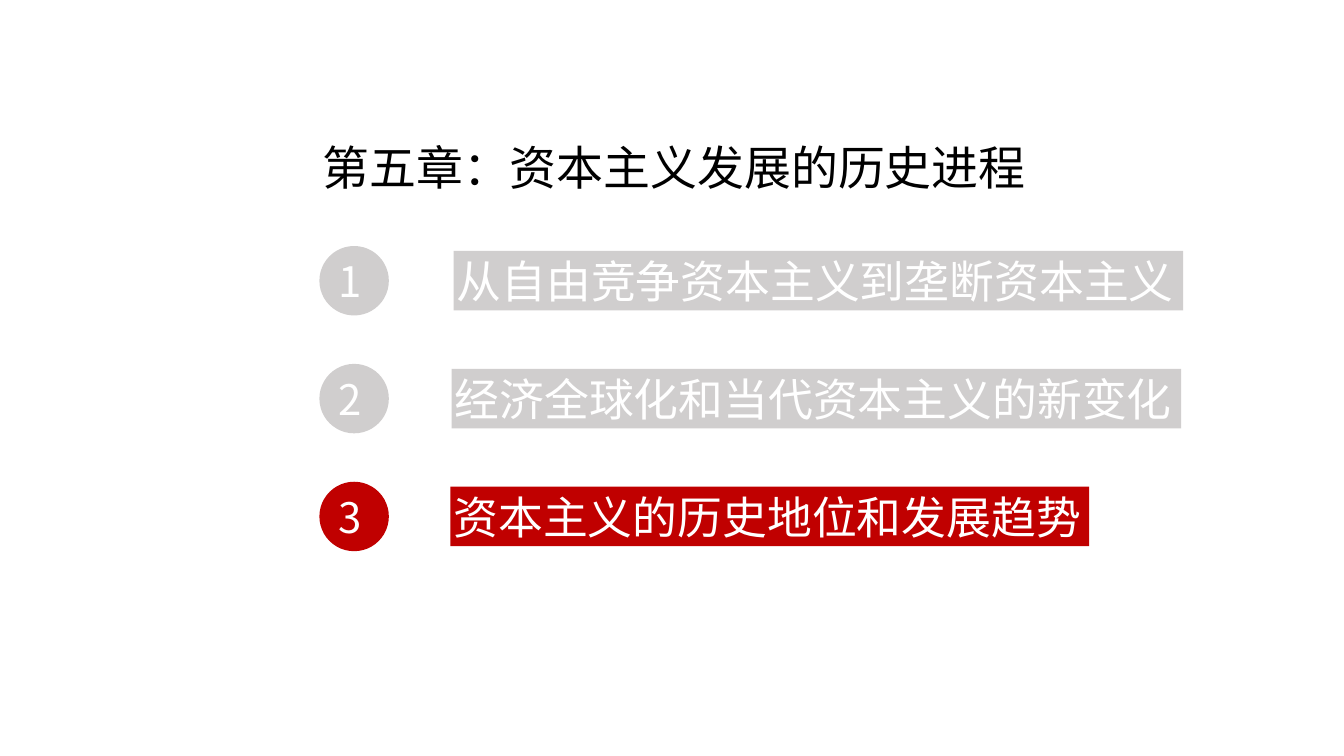
import pptx
import pptx.dml.color
import pptx.enum.shapes
import pptx.enum.text
import pptx.oxml
import pptx.oxml.ns
import pptx.util

Cm = pptx.util.Cm
Shapes = pptx.enum.shapes.MSO_SHAPE
AutoSize = pptx.enum.text.MSO_AUTO_SIZE

TITLE = "第五章：资本主义发展的历史进程"
SECTIONS = [
    {"text": "从自由竞争资本主义到垄断资本主义", "left": 11.43, "width": 18.39, "fill": "muted"},
    {"text": "经济全球化和当代资本主义的新变化", "left": 11.38, "width": 18.39, "fill": "muted"},
    {"text": "资本主义的历史地位和发展趋势", "left": 11.35, "width": 16.1, "fill": "active"},
]
THEME = {
    "font": "Noto Sans CJK SC",
    "title": "000000", "light": "FFFFFF", "muted": "D0CECE", "active": "C00000",
    "title_size": 33.5, "section_size": 32, "number_size": 30,
}
LEFT = 8.05
CIRCLE_TOP = 6.2
CIRCLE_SIZE = 1.75
ROW_STEP = 2.97
BAR_HEIGHT = 1.5
INSET = 0.08
NUMBER_INDENT = 0.23


def color(name):
    return pptx.dml.color.RGBColor.from_string(THEME[name])


def write(box, text, size, ink, inset):
    frame = box.text_frame
    frame.text = text
    frame.vertical_anchor = pptx.enum.text.MSO_ANCHOR.MIDDLE
    frame.margin_left = frame.margin_right = Cm(inset)
    frame.margin_top = frame.margin_bottom = Cm(inset)
    para = frame.paragraphs[0]
    para.alignment = pptx.enum.text.PP_ALIGN.LEFT
    span = para.runs[0]
    span.font.size = pptx.util.Pt(THEME[size])
    span.font.name = THEME["font"]
    span.font.color.rgb = color(ink)
    east_asian = pptx.oxml.parse_xml(
        f'<a:ea {pptx.oxml.ns.nsdecls("a")} typeface="{THEME["font"]}"/>')
    span.font._element.find(pptx.oxml.ns.qn("a:latin")).addnext(east_asian)
    return frame


def fit_to_line(frame):
    frame.word_wrap = False
    frame.auto_size = AutoSize.SHAPE_TO_FIT_TEXT


def add_filled(page, kind, left, top, width, height, fill):
    shape = page.shapes.add_shape(kind, Cm(left), Cm(top), Cm(width), Cm(height))
    shape.shadow.inherit = False
    shape.fill.solid()
    shape.fill.fore_color.rgb = color(fill)
    shape.line.fill.background()
    return shape


def add_section(page, index, section):
    top = CIRCLE_TOP + index * ROW_STEP
    circle = add_filled(page, Shapes.OVAL, LEFT, top, CIRCLE_SIZE, CIRCLE_SIZE, section["fill"])
    frame = write(circle, str(index + 1), "number_size", "light", 0)
    frame.margin_left = Cm(NUMBER_INDENT)
    bar_top = top + (CIRCLE_SIZE - BAR_HEIGHT) / 2
    bar = add_filled(page, Shapes.RECTANGLE, section["left"], bar_top,
                     section["width"], BAR_HEIGHT, section["fill"])
    fit_to_line(write(bar, section["text"], "section_size", "light", INSET))


def main():
    deck = pptx.Presentation()
    deck.slide_width, deck.slide_height = Cm(33.87), Cm(19.05)
    page = deck.slides.add_slide(deck.slide_layouts[6])
    title = page.shapes.add_textbox(Cm(LEFT), Cm(2.69), Cm(18.03), Cm(2.29))
    frame = write(title, TITLE, "title_size", "title", INSET)
    fit_to_line(frame)
    frame.paragraphs[0].line_spacing = 1.5
    for index, section in enumerate(SECTIONS):
        add_section(page, index, section)
    deck.save("out.pptx")


if __name__ == "__main__":
    main()
